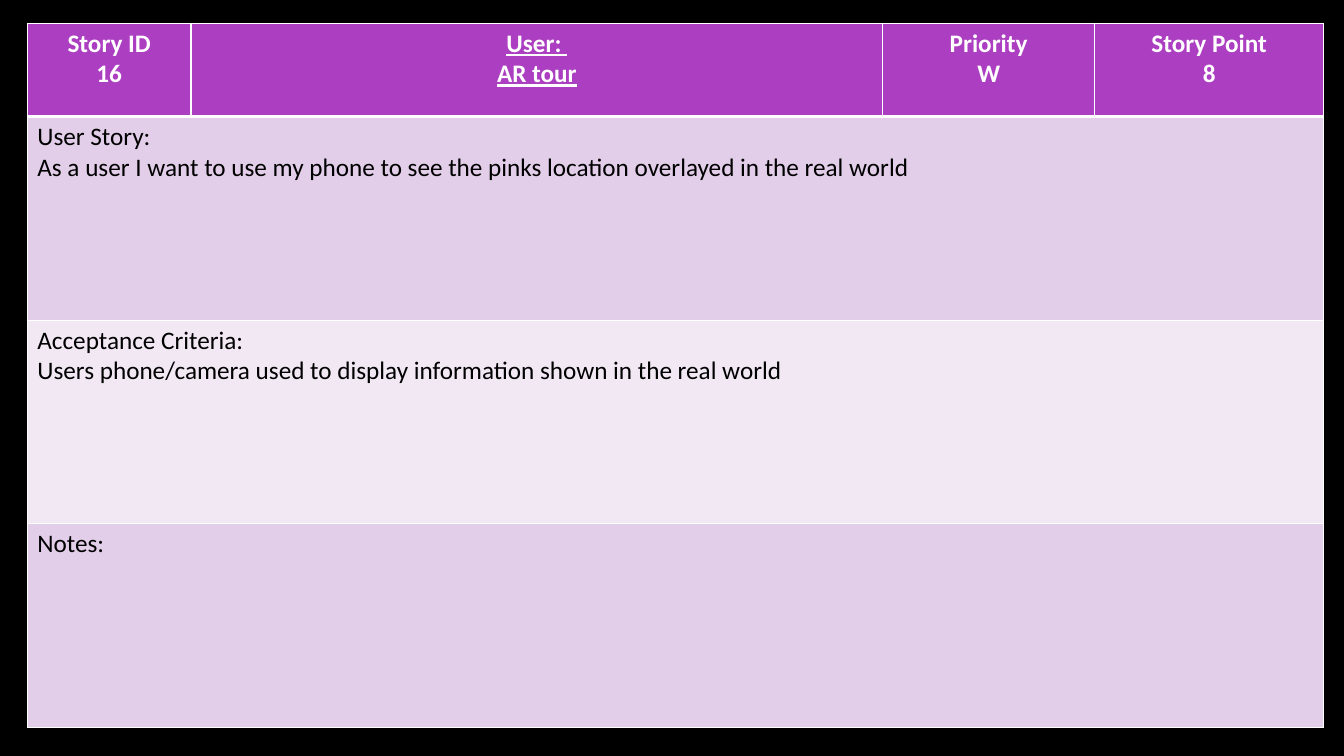
from dataclasses import dataclass

from lxml.etree import SubElement
from pptx import Presentation
from pptx.dml.color import RGBColor
from pptx.enum.text import PP_ALIGN
from pptx.oxml.ns import qn
from pptx.util import Pt


@dataclass(frozen=True)
class Theme:
    font: str = "Calibri"
    text_size: float = 18
    background: str = "000000"
    header_fill: str = "AC3EC1"
    header_text: str = "FFFFFF"
    body_text: str = "000000"
    body_fills: tuple = ("E3CEE9", "F1E8F4")
    border: str = "FFFFFF"
    thin: float = 1
    thick: float = 3


class StoryCard:
    def __init__(self, deck, theme):
        self.theme = theme
        self.slide = deck.slides.add_slide(deck.slide_layouts[6])
        background = self.slide.background.fill
        background.solid()
        background.fore_color.rgb = RGBColor.from_string(theme.background)

    def add_grid(self, left, top, widths, heights):
        frame = self.slide.shapes.add_table(
            len(heights), len(widths), Pt(left), Pt(top),
            Pt(sum(widths)), Pt(sum(heights)))
        table = frame.table
        for column, width in zip(table.columns, widths):
            column.width = Pt(width)
        for row, height in zip(table.rows, heights):
            row.height = Pt(height)
        return table

    def add_borders(self, cell, top, bottom):
        properties = cell._tc.get_or_add_tcPr()
        thin = self.theme.thin
        for side, width in zip("LRTB", (thin, thin, top, bottom)):
            line = SubElement(properties, qn(f"a:ln{side}"), w=str(Pt(width)))
            fill = SubElement(line, qn("a:solidFill"))
            SubElement(fill, qn("a:srgbClr"), val=self.theme.border)

    def fill_cell(self, cell, color):
        cell.fill.solid()
        cell.fill.fore_color.rgb = RGBColor.from_string(color)

    def write_cell(self, cell, lines, color, align, bold=False, underline=False):
        frame = cell.text_frame
        for index, line in enumerate(lines):
            para = frame.add_paragraph() if index else frame.paragraphs[0]
            para.alignment = align
            span = para.add_run()
            span.text = line
            span.font.name = self.theme.font
            span.font.size = Pt(self.theme.text_size)
            span.font.color.rgb = RGBColor.from_string(color)
            span.font.bold = bold
            span.font.underline = underline

    def add_header(self, table, headings):
        theme = self.theme
        for column, lines in enumerate(headings):
            cell = table.cell(0, column)
            self.add_borders(cell, theme.thin, theme.thick)
            self.fill_cell(cell, theme.header_fill)
            self.write_cell(cell, lines, theme.header_text, PP_ALIGN.CENTER,
                            bold=True, underline=column == 1)

    def add_section(self, table, row, lines):
        theme = self.theme
        top = theme.thick if row == 1 else theme.thin
        fill = theme.body_fills[(row - 1) % len(theme.body_fills)]
        for column in range(len(table.columns)):
            cell = table.cell(row, column)
            self.add_borders(cell, top, theme.thin)
            self.fill_cell(cell, fill)
        first = table.cell(row, 0)
        first.merge(table.cell(row, len(table.columns) - 1))
        self.write_cell(first, lines, theme.body_text, PP_ALIGN.LEFT)


headings = [
    ("Story ID", "16"),
    ("User: ", "AR tour"),
    ("Priority", "W"),
    ("Story Point", "8"),
]
sections = [
    ("User Story:",
     "As a user I want to use my phone to see the pinks location "
     "overlayed in the real world"),
    ("Acceptance Criteria:",
     "Users phone/camera used to display information shown in the real world"),
    ("Notes:",),
]

deck = Presentation()
deck.slide_width = Pt(960)
deck.slide_height = Pt(540)

card = StoryCard(deck, Theme())
table = card.add_grid(19.5, 16.5, [117, 494, 151.5, 163.5],
                      [66.7] + [145.5] * len(sections))
card.add_header(table, headings)
for row, lines in enumerate(sections, start=1):
    card.add_section(table, row, lines)

deck.save("out.pptx")
